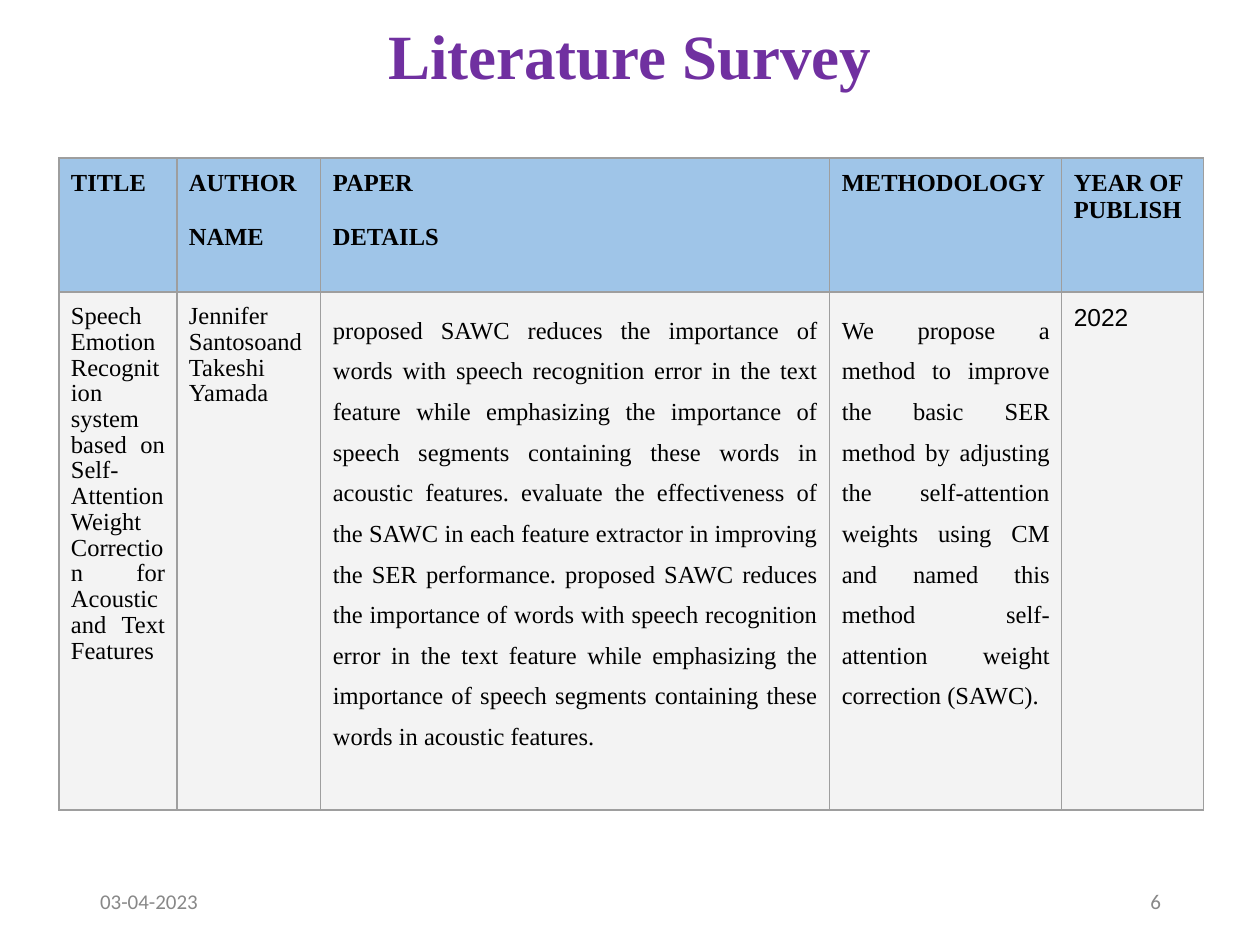
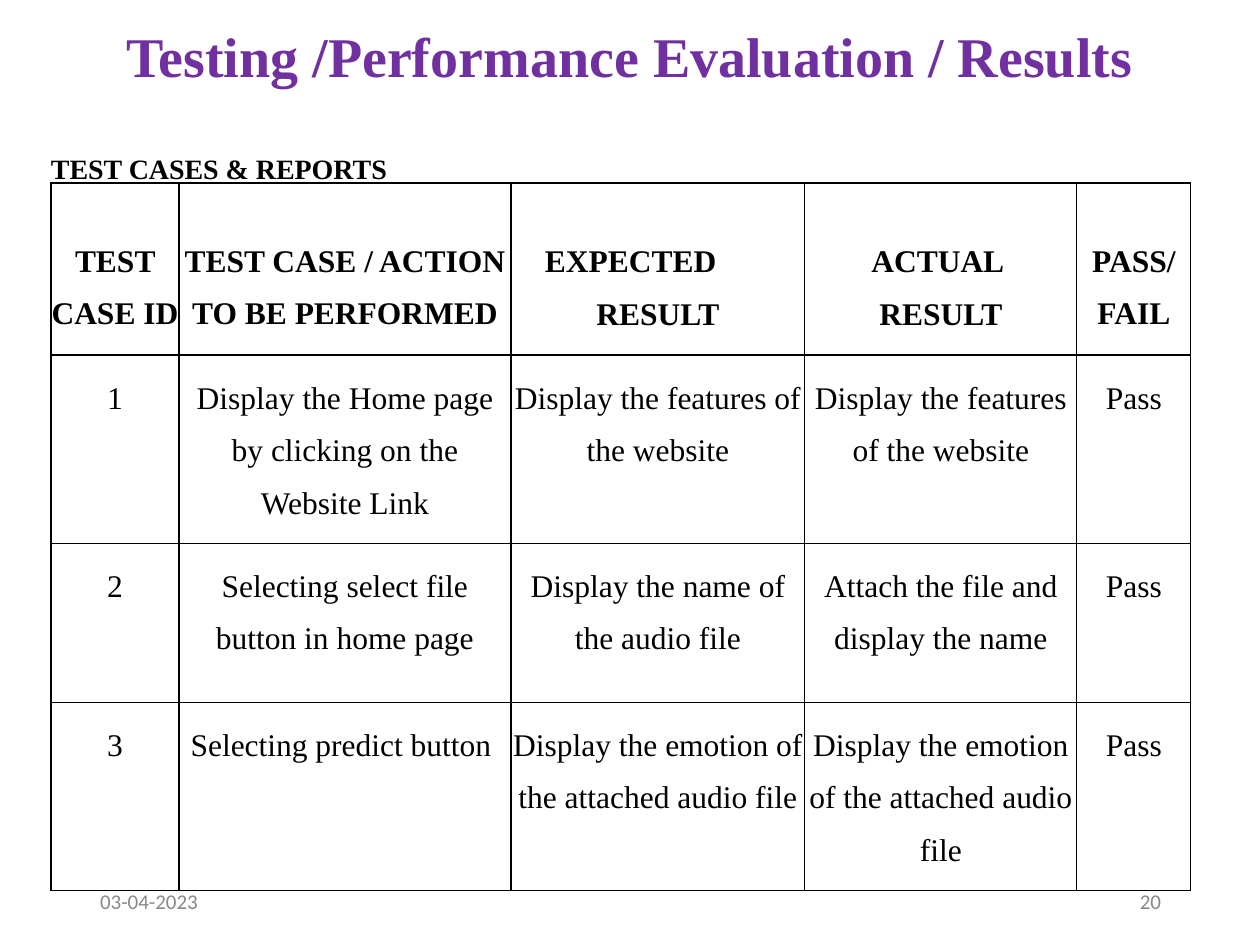
from lxml.etree import SubElement
from pptx import Presentation
from pptx.dml.color import RGBColor
from pptx.enum.text import MSO_ANCHOR, MSO_AUTO_SIZE, PP_ALIGN
from pptx.oxml.ns import qn
from pptx.util import Pt

EMU_PER_PX = 914400 / 126
PAGE_SIZE = (1260, 945)
TITLE_BOX = (87, 23, 1086, 73)
DATE_BOX = (87, 876, 284, 50)
NUMBER_BOX = (890, 876, 284, 50)

COLORS = {
    "title": "7030A0",
    "footer": "888888",
    "text": "000000",
    "survey header": "9FC5E8",
    "survey body": "F3F3F3",
    "survey border": "9E9E9E",
    "test border": "000000",
}
SERIF = "Times New Roman"

# Text formats: "para" and "font" values are set as attributes
TITLE = {"para": {"alignment": PP_ALIGN.CENTER, "line_spacing": 0.9},
         "font": {"name": SERIF, "bold": True}, "color": "title"}
FOOTER = {"para": {"alignment": PP_ALIGN.LEFT},
          "font": {"name": "Calibri", "size": Pt(12)}, "color": "footer"}
SURVEY_HEADER = {"para": {"alignment": PP_ALIGN.LEFT},
                 "font": {"name": SERIF, "size": Pt(14), "bold": True}, "color": "text"}
SURVEY_TEXT = {"para": {"alignment": PP_ALIGN.JUSTIFY, "line_spacing": 0.95},
               "font": {"name": SERIF, "size": Pt(14), "bold": False}, "color": "text"}
TEST_TEXT = {"para": {"alignment": PP_ALIGN.CENTER, "line_spacing": 1.5},
             "font": {"name": SERIF, "size": Pt(18), "bold": False}, "color": "text"}


def vary(style, para=None, font=None):
    """Return a format with some values changed."""
    return {**style, "para": {**style["para"], **(para or {})},
            "font": {**style["font"], **(font or {})}}


SURVEY_LOOSE = vary(SURVEY_TEXT, para={"line_spacing": 1.5})
SURVEY_YEAR = vary(SURVEY_TEXT, {"alignment": PP_ALIGN.LEFT, "line_spacing": 1.0},
                   {"name": "Arial"})
TEST_HEADER = vary(TEST_TEXT, {"space_before": Pt(0.5)}, {"bold": True})
SECTION = vary(TEST_HEADER, {"alignment": PP_ALIGN.JUSTIFY, "space_after": Pt(0.5)},
               {"size": Pt(16)})


def px(length):
    return round(length * EMU_PER_PX)


def set_values(target, values):
    for name, value in values.items():
        setattr(target, name, value)


def write(frame, text, style):
    """Write each line of text as one formatted paragraph."""
    for index, line in enumerate(text.split("\n")):
        para = frame.add_paragraph() if index else frame.paragraphs[0]
        set_values(para, style["para"])
        span = para.add_run()
        span.text = line
        set_values(span.font, style["font"])
        span.font.color.rgb = RGBColor.from_string(COLORS[style["color"]])


def add_text(page, box, text, style, anchor=MSO_ANCHOR.MIDDLE, padding=6):
    frame = page.shapes.add_textbox(*map(px, box)).text_frame
    set_values(frame, {"word_wrap": True, "vertical_anchor": anchor,
                       "margin_left": px(13), "margin_right": px(13),
                       "margin_top": px(padding), "margin_bottom": px(padding)})
    write(frame, text, style)


def add_page(deck, title, title_size, number):
    """Add a page with the shared title, date and page number."""
    page = deck.slides.add_slide(deck.slide_layouts[5])
    heading = page.shapes.title
    set_values(heading, dict(zip(("left", "top", "width", "height"), map(px, TITLE_BOX))))
    set_values(heading.text_frame, {"vertical_anchor": MSO_ANCHOR.MIDDLE,
                                    "word_wrap": True, "auto_size": MSO_AUTO_SIZE.NONE})
    write(heading.text_frame, title, vary(TITLE, font={"size": Pt(title_size)}))
    add_text(page, DATE_BOX, "03-04-2023", FOOTER)
    add_text(page, NUMBER_BOX, number, vary(FOOTER, {"alignment": PP_ALIGN.RIGHT}))
    return page


def draw_borders(cell, color):
    properties = cell._tc.get_or_add_tcPr()
    for side in ("a:lnL", "a:lnR", "a:lnT", "a:lnB"):
        line = SubElement(properties, qn(side), w=str(Pt(0.75)))
        fill = SubElement(line, qn("a:solidFill"))
        SubElement(fill, qn("a:srgbClr"), val=COLORS[color])


def add_grid(page, origin, widths, heights, rows, styles, margins, border, fills):
    """Add a table; styles, margins and fills go by row, header first."""
    box = (*origin, sum(widths), sum(heights))
    table = page.shapes.add_table(len(rows), len(widths), *map(px, box)).table
    set_values(table, {"first_row": False, "horz_banding": False})
    for column, width in zip(table.columns, widths):
        column.width = px(width)
    for row_index, texts in enumerate(rows):
        kind = min(row_index, 1)
        table.rows[row_index].height = px(heights[row_index])
        for column_index, text in enumerate(texts):
            cell = table.cell(row_index, column_index)
            set_values(cell, dict(zip(
                ("margin_left", "margin_top", "margin_right", "margin_bottom"),
                map(px, margins[kind]))))
            draw_borders(cell, border)
            if fills:
                cell.fill.solid()
                cell.fill.fore_color.rgb = RGBColor.from_string(COLORS[fills[kind]])
            else:
                cell.fill.background()
            write(cell.text_frame, text, styles[kind][column_index])
    return table


def build_survey(deck):
    page = add_page(deck, "Literature Survey", 36, "6")
    findings = ("proposed SAWC reduces the importance of words with speech recognition "
                "error in the text feature while emphasizing the importance of speech "
                "segments containing these words in acoustic features.")
    rows = [
        ["TITLE", "AUTHOR\nNAME", "PAPER\nDETAILS", "METHODOLOGY", "YEAR OF PUBLISH"],
        ["Speech Emotion Recognition system based on Self-Attention Weight Correction "
         "for Acoustic and Text Features",
         "Jennifer Santosoand Takeshi Yamada",
         f"{findings} evaluate the effectiveness of the SAWC in each feature extractor "
         f"in improving the SER performance. {findings}",
         "We propose a method to improve the basic SER method by adjusting the "
         "self-attention weights using CM and named this method self-attention weight "
         "correction (SAWC).",
         "2022"],
    ]
    styles = ([SURVEY_HEADER] * 5,
              [SURVEY_TEXT] * 2 + [SURVEY_LOOSE] * 2 + [SURVEY_YEAR])
    table = add_grid(page, (59, 158), (118, 144, 509, 232, 142), (134, 518), rows, styles,
                     [(12, 12, 12, 12)] * 2, "survey border",
                     ("survey header", "survey body"))
    # One line of space inside the two-part headers
    for column in (1, 2):
        table.cell(0, column).text_frame.paragraphs[1].space_before = px(27)


def build_test_report(deck):
    page = add_page(deck, "Testing /Performance Evaluation / Results", 32, "20")
    add_text(page, (38, 123, 381, 59), "TEST CASES & REPORTS", SECTION,
             MSO_ANCHOR.TOP, 12)
    rows = [
        ["TEST CASE ID", "TEST CASE / ACTION TO BE PERFORMED", "EXPECTED\nRESULT",
         "ACTUAL \nRESULT", "PASS/ FAIL"],
        ["1", "Display the Home page by clicking on the Website Link",
         "Display the features of the website", "Display the features of the website",
         "Pass"],
        ["2", "Selecting select file button in home page",
         "Display the name of the audio file", "Attach the file and display the name",
         "Pass"],
        ["3", "Selecting predict button ", "Display the emotion of the attached audio file",
         "Display the emotion of the attached audio file", "Pass"],
    ]
    table = add_grid(page, (51, 183), (128, 332, 294, 272, 114), (172, 188, 159, 188),
                     rows, ([TEST_HEADER] * 5, [TEST_TEXT] * 5),
                     ((0, 44, 0, 9), (0, 9, 0, 9)), "test border", None)
    # The first word of the third header stands left of the centre
    expected = table.cell(0, 2).text_frame.paragraphs[0]
    expected.alignment = PP_ALIGN.LEFT
    expected._p.get_or_add_pPr().set("marL", str(px(34)))


def main():
    deck = Presentation()
    deck.slide_width, deck.slide_height = map(px, PAGE_SIZE)
    build_survey(deck)
    build_test_report(deck)
    deck.save("out.pptx")


if __name__ == "__main__":
    main()
